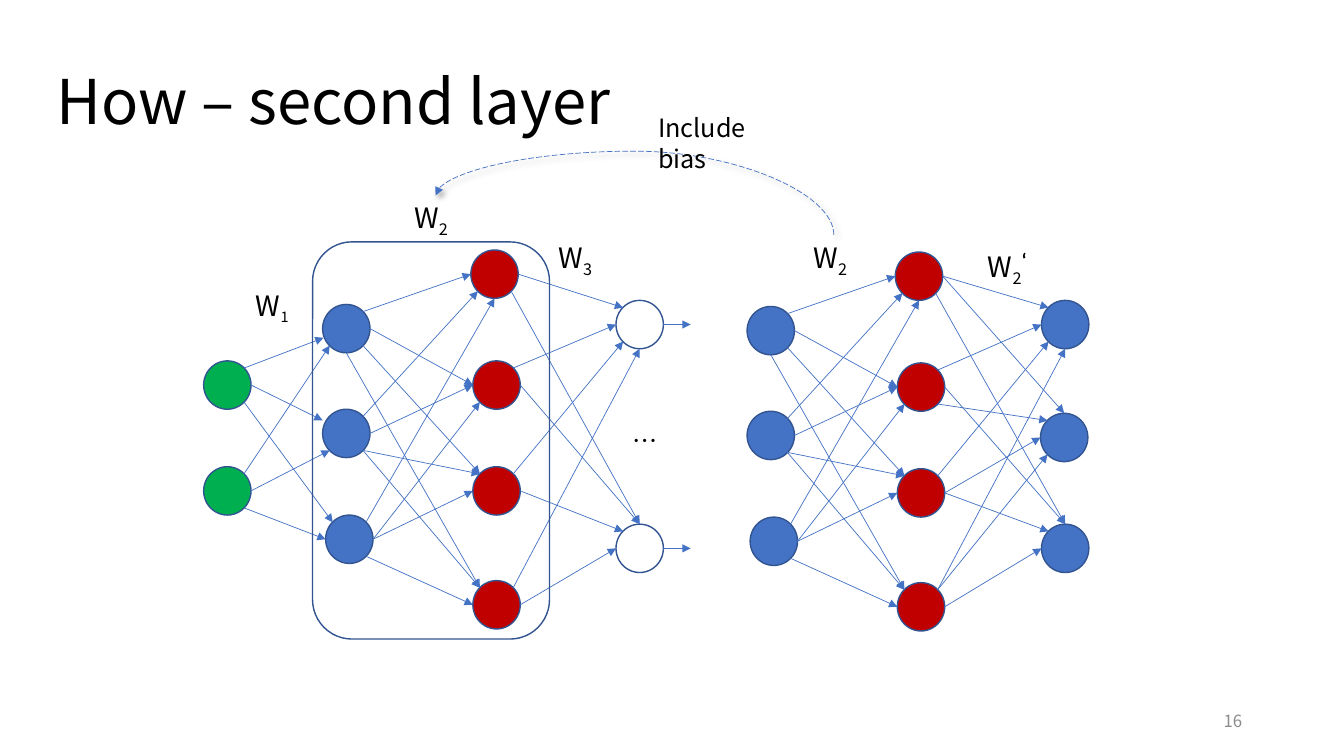
from lxml import etree
from pptx import Presentation
from pptx.dml.color import RGBColor
from pptx.enum.dml import MSO_LINE
from pptx.enum.shapes import MSO_CONNECTOR, MSO_SHAPE
from pptx.enum.text import MSO_ANCHOR, MSO_AUTO_SIZE, PP_ALIGN
from pptx.oxml.ns import qn
from pptx.util import Inches, Pt

STRAIGHT, CURVE = MSO_CONNECTOR.STRAIGHT, MSO_CONNECTOR.CURVE
OVAL, ROUNDED = MSO_SHAPE.OVAL, MSO_SHAPE.ROUNDED_RECTANGLE
LONG_DASH = MSO_LINE.LONG_DASH
MIDDLE, NO_AUTOFIT = MSO_ANCHOR.MIDDLE, MSO_AUTO_SIZE.NONE
LEFT, CENTER, RIGHT = PP_ALIGN.LEFT, PP_ALIGN.CENTER, PP_ALIGN.RIGHT

BLACK = RGBColor(0x00, 0x00, 0x00)
WHITE = RGBColor(0xFF, 0xFF, 0xFF)
GRAY = RGBColor(0x8C, 0x8C, 0x8C)
GREEN = RGBColor(0x00, 0xB0, 0x50)
BLUE = RGBColor(0x44, 0x72, 0xC4)
DARK_BLUE = RGBColor(0x32, 0x54, 0x91)
RED = RGBColor(0xC0, 0x00, 0x00)
FONT = "Noto Sans CJK SC"

# Content: neurons as name -> (left, top), in inches
NODE_WIDTH, NODE_HEIGHT = 0.47, 0.48
INPUTS = {"in1": (2.02, 3.58), "in2": (2.02, 4.63)}
FIRST_LAYER = {"a1": (3.2, 3.02), "a2": (3.2, 4.06), "a3": (3.23, 5.11)}
SECOND_LAYER = {"b1": (4.67, 2.48), "b2": (4.69, 3.58), "b3": (4.69, 4.63), "b4": (4.69, 5.76)}
OUTPUTS = {"out1": (6.11, 2.98), "out2": (6.11, 5.2)}
RECONSTRUCTED = {"out1": (10.33, 2.98), "mid": (10.32, 4.1), "out2": (10.33, 5.2)}
RIGHT_SHIFT = (4.21, 0.02)  # the right network repeats both hidden layers
ELLIPSIS_AT = (6.11, 4.13)
OUTPUT_ARROW = 0.27

# Places on a neuron's rim, as fractions of its width and height
SITES = {
    "T": (0.5, 0), "B": (0.5, 1), "L": (0, 0.5), "R": (1, 0.5),
    "TL": (0.15, 0.15), "TR": (0.85, 0.15), "BL": (0.15, 0.85), "BR": (0.85, 0.85),
    "upper L": (0, 0.23), "lower L": (0.02, 0.69),
}

# Edges: source, its site, target, its site
INPUT_EDGES = [
    ("in1", "TR", "a1", "lower L"), ("in1", "R", "a2", "upper L"), ("in1", "BR", "a3", "TL"),
    ("in2", "TR", "a1", "BL"), ("in2", "R", "a2", "BL"), ("in2", "BR", "a3", "L"),
]
SHARED_EDGES = [
    ("a1", "TR", "b1", "L"), ("a1", "R", "b2", "L"), ("a1", "BR", "b3", "TL"), ("a1", "B", "b4", "TL"),
    ("a2", "TR", "b1", "BL"), ("a2", "R", "b2", "L"), ("a2", "BR", "b3", "TL"), ("a2", "BR", "b4", "TL"),
    ("a3", "TR", "b1", "B"), ("a3", "R", "b2", "BL"), ("a3", "R", "b3", "L"), ("a3", "BR", "b4", "L"),
    ("b1", "R", "out1", "TL"), ("b2", "TR", "out1", "L"), ("b3", "TR", "out1", "BL"), ("b4", "TR", "out1", "B"),
    ("b1", "BR", "out2", "T"), ("b2", "R", "out2", "T"), ("b3", "R", "out2", "TL"), ("b4", "R", "out2", "L"),
]
MIDDLE_EDGES = [
    ("b1", "R", "mid", "T"), ("b2", "BR", "mid", "TL"), ("b3", "R", "mid", "L"), ("b4", "TR", "mid", "BL"),
]

# Weight labels: left, top, subscript, subscript size, prime mark
WEIGHTS = [
    (2.44, 2.81, "1", 18, ""), (4.01, 1.94, "2", 20, ""), (5.44, 2.34, "3", 20, ""),
    (7.97, 2.34, "2", 20, ""), (9.7, 2.37, "2", 20, "‘"),
]


def style_text(paragraph, size, color=BLACK, align=LEFT):
    paragraph.alignment = align
    paragraph.font.name = FONT
    paragraph.font.size = Pt(size)
    paragraph.font.color.rgb = color


def add_text(left, top, width, height, text, size, color=BLACK, align=LEFT):
    box = slide.shapes.add_textbox(Inches(left), Inches(top), Inches(width), Inches(height))
    box.text_frame.word_wrap = True
    paragraph = box.text_frame.paragraphs[0]
    paragraph.text = text
    style_text(paragraph, size, color, align)
    return box


def add_outlined(kind, left, top, width, height, fill=None):
    shape = slide.shapes.add_shape(kind, Inches(left), Inches(top), Inches(width), Inches(height))
    shape.shadow.inherit = False
    if fill is None:
        shape.fill.background()
    else:
        shape.fill.solid()
        shape.fill.fore_color.rgb = fill
    shape.line.color.rgb = DARK_BLUE
    shape.line.width = Pt(1)
    return shape


def add_arrow(start, end, kind=STRAIGHT):
    arrow = slide.shapes.add_connector(kind, *[Inches(value) for value in (*start, *end)])
    arrow.line.color.rgb = BLUE
    arrow.line.width = Pt(0.5)
    line = arrow.line._get_or_add_ln()
    etree.SubElement(line, qn("a:tailEnd"), type="triangle")
    etree.SubElement(arrow._element.spPr, qn("a:effectLst"))
    return arrow


def shifted(layer):
    return {name: (left + RIGHT_SHIFT[0], top + RIGHT_SHIFT[1]) for name, (left, top) in layer.items()}


def site_point(node, site):
    across, down = SITES[site]
    return node[0] + across * NODE_WIDTH, node[1] + down * NODE_HEIGHT


def draw_network(layers, edges):
    nodes = {}
    for layer, color in layers:
        nodes.update(layer)
        for left, top in layer.values():
            add_outlined(OVAL, left, top, NODE_WIDTH, NODE_HEIGHT, color)
    for source, source_site, target, target_site in edges:
        add_arrow(site_point(nodes[source], source_site), site_point(nodes[target], target_site))


presentation = Presentation()
presentation.slide_width, presentation.slide_height = Inches(13.33), Inches(7.5)
slide = presentation.slides.add_slide(presentation.slide_layouts[5])

# Title and page number
title = slide.shapes.title
title.left, title.top, title.width, title.height = [Inches(value) for value in (0.46, 0.31, 11.5, 1.45)]
title.text_frame.text = "How – second layer"
title.text_frame.auto_size = NO_AUTOFIT
title.text_frame.vertical_anchor = MIDDLE
title.text_frame.paragraphs[0].line_spacing = 0.9
style_text(title.text_frame.paragraphs[0], 44)
page_number = add_text(9.42, 6.95, 3, 0.4, "16", 12, GRAY, RIGHT)
page_number.text_frame.vertical_anchor = MIDDLE

# Ellipsis between the outputs
ellipsis = add_outlined(OVAL, *ELLIPSIS_AT, NODE_WIDTH, NODE_HEIGHT, WHITE)
ellipsis.line.fill.background()
ellipsis.text_frame.text = "…"
ellipsis.text_frame.vertical_anchor = MIDDLE
style_text(ellipsis.text_frame.paragraphs[0], 18, align=CENTER)

# Left network with its output arrows, then the right network
draw_network(
    [(INPUTS, GREEN), (FIRST_LAYER, BLUE), (SECOND_LAYER, RED), (OUTPUTS, WHITE)],
    INPUT_EDGES + SHARED_EDGES,
)
for output in OUTPUTS.values():
    x, y = site_point(output, "R")
    add_arrow((x, y), (x + OUTPUT_ARROW, y))
draw_network(
    [(shifted(FIRST_LAYER), BLUE), (shifted(SECOND_LAYER), RED), (RECONSTRUCTED, BLUE)],
    SHARED_EDGES + MIDDLE_EDGES,
)

# Frame around the trained layer
add_outlined(ROUNDED, 3.1, 2.4, 2.35, 3.94)

# Dashed arc carrying W2 back, turned a quarter to the left
arc = add_arrow((6.1, 4.11), (6.49, 0.16), CURVE)
arc.line.dash_style = LONG_DASH
properties = arc._element.spPr
properties.find(qn("a:xfrm")).set("rot", str(270 * 60000))
geometry = properties.find(qn("a:prstGeom"))
adjustments = geometry.find(qn("a:avLst"))
if adjustments is None:
    adjustments = etree.SubElement(geometry, qn("a:avLst"))
etree.SubElement(adjustments, qn("a:gd"), name="adj1", fmla="val 212900")
shadow = etree.SubElement(
    properties.find(qn("a:effectLst")), qn("a:outerShdw"),
    blurRad=str(Pt(4)), dist=str(Pt(3)), dir=str(45 * 60000), algn="tl", rotWithShape="0",
)
shadow_color = etree.SubElement(shadow, qn("a:srgbClr"), val="000000")
etree.SubElement(shadow_color, qn("a:alpha"), val="40000")

# Labels
for left, top, subscript, subscript_size, prime in WEIGHTS:
    paragraph = add_text(left, top, 0.61, 0.44, "W", 20).text_frame.paragraphs[0]
    run = paragraph.add_run()
    run.text = subscript
    run.font.size = Pt(subscript_size)
    run._r.get_or_add_rPr().set("baseline", "-25000")
    if prime:
        run = paragraph.add_run()
        run.text = prime
        run.font.name, run.font.size, run.font.bold = "Calibri", Pt(24), True
        run._r.get_or_add_rPr().set("baseline", "30000")
add_text(6.43, 1.07, 1.6, 0.4, "Include bias", 18)

presentation.save("out.pptx")
